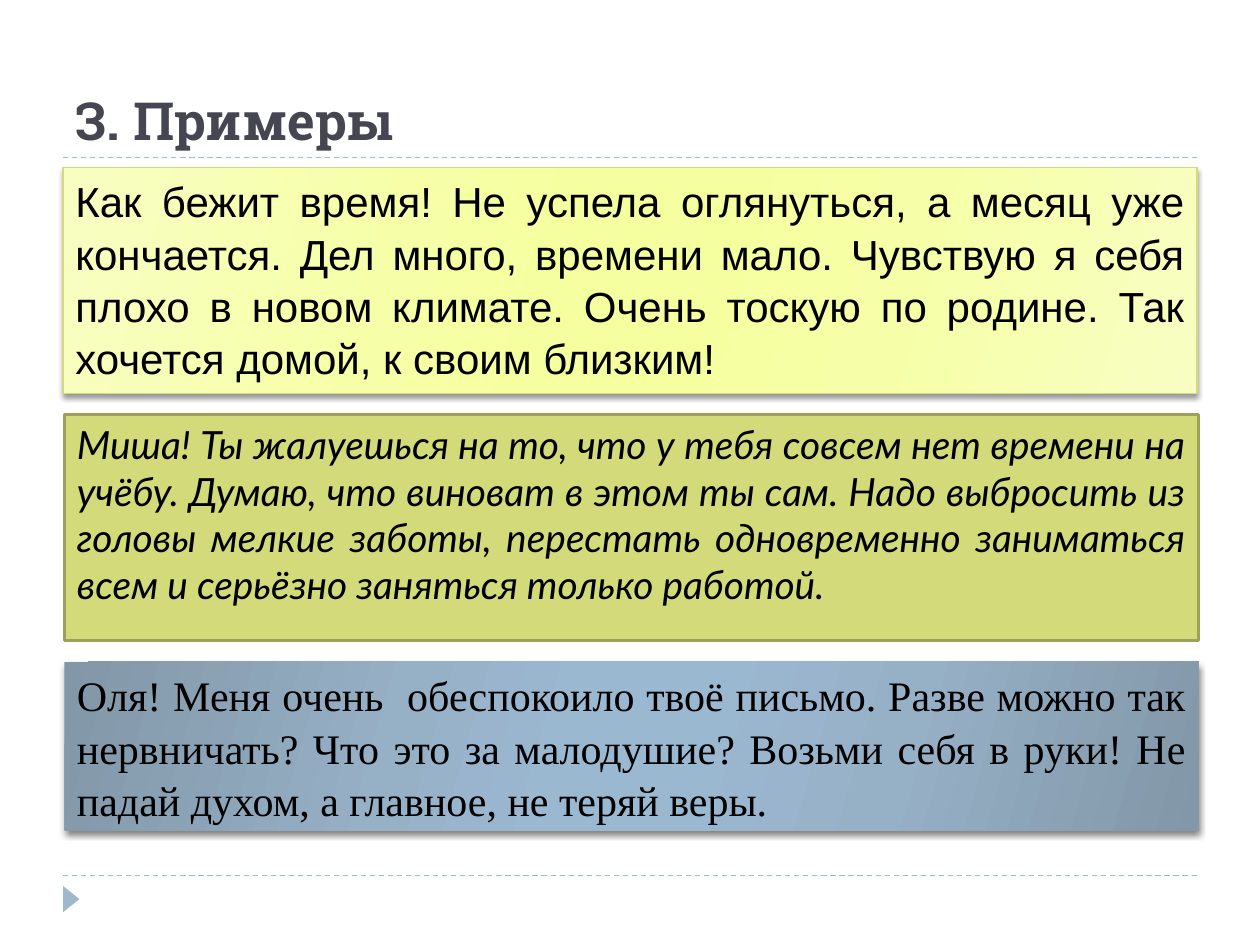
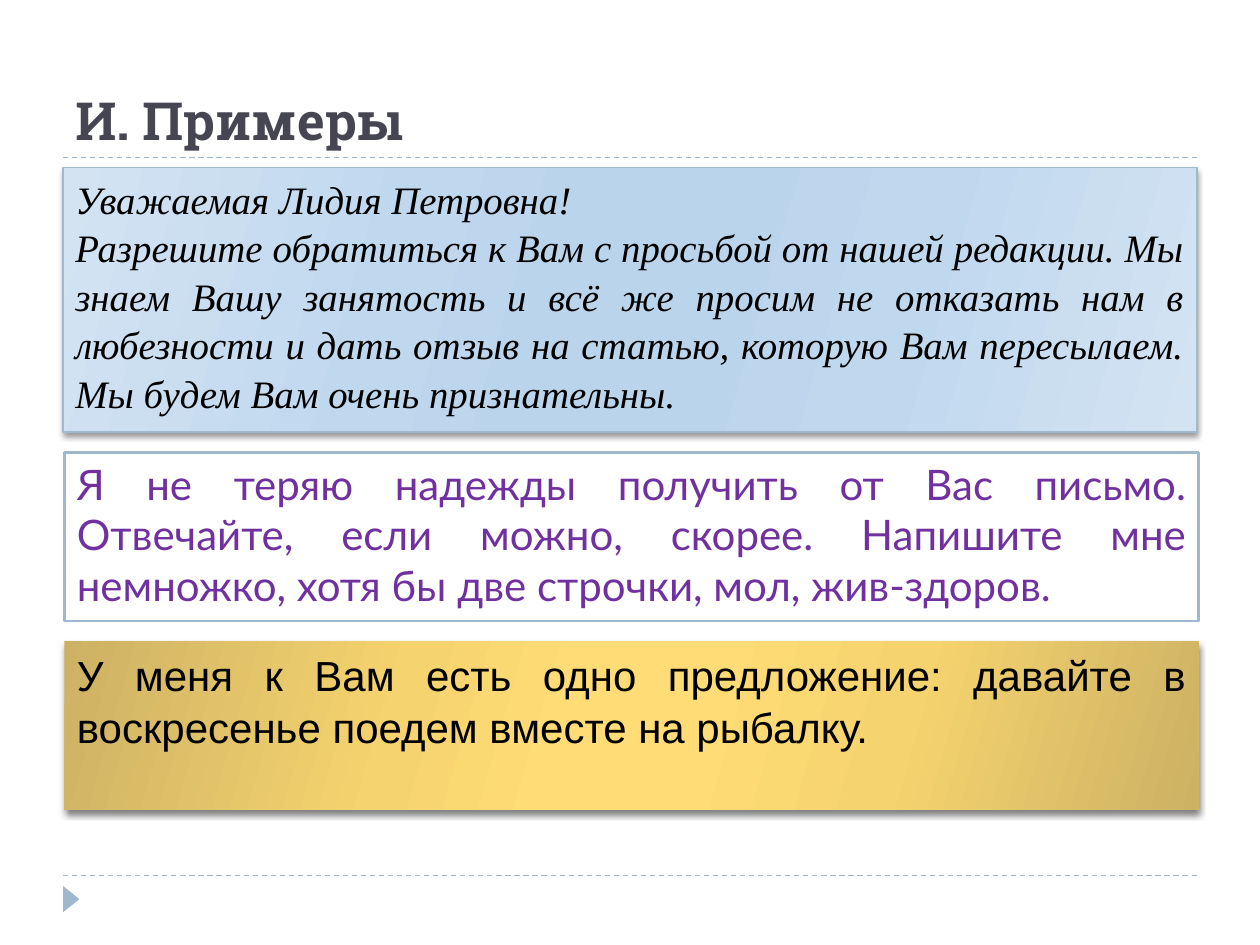
from dataclasses import dataclass

from lxml import etree
from pptx import Presentation
from pptx.dml.color import RGBColor as Rgb
from pptx.enum.dml import MSO_LINE as Dash
from pptx.enum.shapes import MSO_CONNECTOR as Link, MSO_SHAPE as Preset
from pptx.enum.text import MSO_ANCHOR as Anchor, MSO_AUTO_SIZE as AutoSize, PP_ALIGN as Align
from pptx.oxml.ns import qn
from pptx.util import Cm, Pt


@dataclass(frozen=True)
class Theme:
    # Colours
    title: str = "464653"
    ink: str = "000000"
    purple: str = "7030A0"
    white: str = "FFFFFF"
    steel: str = "9FB8CD"
    olive: str = "D2DA7A"
    olive_edge: str = "9BA15A"
    # Outer, middle and inner tone of each symmetric gradient
    lemon: tuple = ("F8FEC2", "F6FFA7", "F6FF9F")
    slate: tuple = ("8297A8", "96B0C6", "9BB8D1")
    sky: tuple = ("D3E3F2", "C0D8EE", "BAD4EC")
    gold: tuple = ("CDB264", "F5D36E", "FFDC75")
    # Type
    slab: str = "Roboto Slab"
    sans: str = "Arial"
    serif: str = "Times New Roman"
    humanist: str = "Lato"
    title_size: float = 30
    text_size: float = 24
    small_size: float = 22.2
    # Shadows: opacity in percent, blur and distance in points
    soft: tuple = (40, 3, 2)
    deep: tuple = (50, 4, 2)


THEME = Theme()
LEFT, WIDTH = 1.27, 22.86
STACK_TOP = 3.38


def apply(target, values):
    for name, value in values.items():
        setattr(target, name, value)


class Deck:
    def __init__(self, theme):
        self.theme = theme
        self.show = Presentation()
        apply(self.show, {"slide_width": Cm(25.4), "slide_height": Cm(19.05)})
        self.slide = None

    def new_slide(self, heading):
        self.slide = self.show.slides.add_slide(self.show.slide_layouts[5])
        self.rule(3.18)
        self.rule(17.65)
        self.marker()
        self.title(heading)

    def font(self, run, face, size, colour, **style):
        apply(run.font, {"name": face, "size": Pt(size), **style})
        run.font.color.rgb = Rgb.from_string(colour)

    def title(self, heading):
        title = self.slide.shapes.title
        apply(title, {"left": Cm(LEFT), "top": Cm(0.43),
                      "width": Cm(WIDTH), "height": Cm(2.74)})
        frame = title.text_frame
        apply(frame, {"text": heading, "word_wrap": True,
                      "auto_size": AutoSize.NONE, "vertical_anchor": Anchor.BOTTOM})
        line = frame.paragraphs[0]
        line.alignment = Align.LEFT
        self.font(line.runs[0], self.theme.slab, self.theme.title_size,
                  self.theme.title, bold=True)

    def rule(self, y):
        rule = self.slide.shapes.add_connector(
            Link.STRAIGHT, Cm(LEFT), Cm(y), Cm(LEFT + WIDTH), Cm(y))
        apply(rule.line, {"width": Pt(0.75), "dash_style": Dash.DASH})
        rule.line.color.rgb = Rgb.from_string(self.theme.steel)
        etree.SubElement(rule._element.spPr, qn("a:effectLst"))

    def marker(self):
        marker = self.slide.shapes.add_shape(
            Preset.ISOSCELES_TRIANGLE, Cm(1.17), Cm(17.96), Cm(0.53), Cm(0.33))
        marker.rotation = 90
        marker.shadow.inherit = False
        self.paint(marker, self.theme.steel)

    def paint(self, shape, fill, edge=None):
        if isinstance(fill, tuple):
            self.gradient(shape, fill)
        else:
            shape.fill.solid()
            shape.fill.fore_color.rgb = Rgb.from_string(fill)
        if edge:
            colour, width = edge
            shape.line.color.rgb = Rgb.from_string(colour)
            shape.line.width = Pt(width)
        else:
            shape.line.fill.background()

    def gradient(self, shape, tones):
        shape.fill.gradient()
        shape.fill.gradient_angle = 344
        stops = shape._element.spPr.find(".//" + qn("a:gsLst"))
        for stop in list(stops):
            stops.remove(stop)
        for place, tone in zip((0, 30, 45, 55, 73, 100), tones + tones[::-1]):
            stop = etree.SubElement(stops, qn("a:gs"), pos=str(place * 1000))
            etree.SubElement(stop, qn("a:srgbClr"), val=tone)

    def cast_shadow(self, shape, opacity, blur, distance):
        effects = shape._element.spPr.find(qn("a:effectLst"))
        shadow = etree.SubElement(
            effects, qn("a:outerShdw"), blurRad=str(Pt(blur)), dist=str(Pt(distance)),
            dir="5400000", rotWithShape="0")
        colour = etree.SubElement(shadow, qn("a:srgbClr"), val=self.theme.ink)
        etree.SubElement(colour, qn("a:alpha"), val=str(opacity * 1000))

    def example(self, left, top, height, lines, fill, face, edge=None, shadow=None,
                size=None, colour=None, italic=False):
        card = self.slide.shapes.add_shape(
            Preset.RECTANGLE, Cm(left), Cm(top), Cm(WIDTH), Cm(height))
        card.shadow.inherit = False
        self.paint(card, fill, edge)
        if shadow:
            self.cast_shadow(card, *shadow)
        frame = card.text_frame
        apply(frame, {"word_wrap": True, "vertical_anchor": Anchor.TOP,
                      "text": "\n".join(lines)})
        for line in frame.paragraphs:
            # Lato is naturally taller; the other faces are opened up to match it
            apply(line, {"alignment": Align.JUSTIFY,
                         "line_spacing": 1.0 if face == self.theme.humanist else 1.04})
            self.font(line.runs[0], face, size or self.theme.text_size,
                      colour or self.theme.ink, italic=italic)

    def stack(self, gap, examples):
        top = STACK_TOP
        for index, example in enumerate(examples):
            self.example(LEFT if index == 0 else 1.3, top, **example)
            top += example["height"] + gap


deck = Deck(THEME)

# Slide 1: complaints and comfort
deck.new_slide("З. Примеры")
deck.stack(0.43, [
    dict(height=4.55, fill=THEME.lemon, edge=(THEME.olive, 0.75), shadow=THEME.soft,
         face=THEME.sans,
         lines=["Как бежит время! Не успела оглянуться, а месяц уже кончается. "
                "Дел много, времени мало. Чувствую я себя плохо в новом климате. "
                "Очень тоскую по родине. Так хочется домой, к своим близким!"]),
    dict(height=4.55, fill=THEME.olive, edge=(THEME.olive_edge, 1.5),
         face=THEME.humanist, size=THEME.small_size, italic=True,
         lines=["Миша! Ты жалуешься на то, что у тебя совсем нет времени на учёбу. "
                "Думаю, что виноват в этом ты сам. Надо выбросить из головы мелкие "
                "заботы, перестать одновременно заниматься всем и серьёзно заняться "
                "только работой."]),
    dict(height=3.4, fill=THEME.slate, shadow=THEME.deep, face=THEME.serif,
         lines=["Оля! Меня очень  обеспокоило твоё письмо. Разве можно так "
                "нервничать? Что это за малодушие? Возьми себя в руки! Не падай "
                "духом, а главное, не теряй веры."]),
])

# Slide 2: requests and proposals
deck.new_slide("И. Примеры")
deck.stack(0.41, [
    dict(height=5.33, fill=THEME.sky, edge=(THEME.steel, 0.75), shadow=THEME.soft,
         face=THEME.serif, size=THEME.small_size, italic=True,
         lines=["Уважаемая Лидия Петровна!",
                "Разрешите обратиться к Вам с просьбой от нашей редакции. Мы знаем "
                "Вашу занятость и всё же просим не отказать нам в любезности и дать "
                "отзыв на статью, которую Вам пересылаем. Мы будем Вам очень "
                "признательны."]),
    dict(height=3.4, fill=THEME.white, edge=(THEME.steel, 1.5),
         face=THEME.humanist, colour=THEME.purple,
         lines=["Я не теряю надежды получить от Вас письмо. Отвечайте, если можно, "
                "скорее. Напишите мне немножко, хотя бы две строчки, мол, "
                "жив-здоров."]),
    dict(height=3.4, fill=THEME.gold, shadow=THEME.deep, face=THEME.sans,
         lines=["У меня к Вам есть одно предложение: давайте в воскресенье поедем "
                "вместе на рыбалку."]),
])

deck.show.save("out.pptx")
